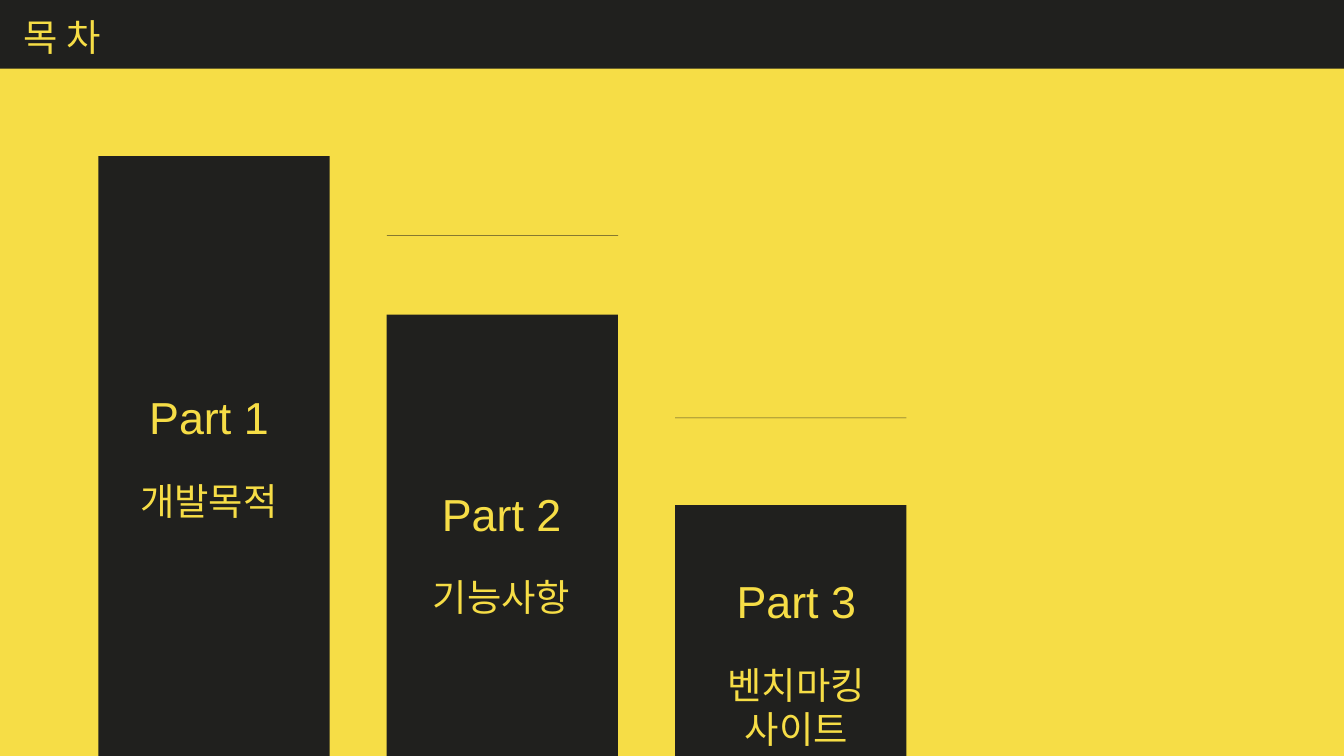
from lxml import etree
from pptx import Presentation
from pptx.dml.color import RGBColor
from pptx.enum.shapes import MSO_CONNECTOR, MSO_SHAPE
from pptx.enum.text import MSO_AUTO_SIZE, PP_ALIGN
from pptx.oxml.ns import qn
from pptx.util import Cm, Pt

RECTANGLE = MSO_SHAPE.RECTANGLE
STRAIGHT = MSO_CONNECTOR.STRAIGHT
GROW = MSO_AUTO_SIZE.SHAPE_TO_FIT_TEXT
LEFT, CENTER = PP_ALIGN.LEFT, PP_ALIGN.CENTER

COLORS = {"yellow": "F6DD46", "dark": "20201E"}
FONT = "Arial"
SLIDE_WIDTH, SLIDE_HEIGHT = 25.4, 14.29
COLUMN_LEFT, COLUMN_PITCH, COLUMN_WIDTH = 1.86, 5.45, 4.37
COLUMN_BOTTOM = 14.31
LABEL_WIDTH = 5.1

PARTS = [
    {"title": "Part 1", "topics": ["개발목적"], "top": 2.95,
     "label": (1.4, 7.24, 2.82)},
    {"title": "Part 2", "topics": ["기능사항"], "top": 5.95, "rule": 4.45,
     "label": (6.93, 9.07, 2.82)},
    {"title": "Part 3", "topics": ["벤치마킹", "사이트"], "top": 9.55, "rule": 7.9,
     "label": (12.5, 10.72, 3.68)},
]


def color(name):
    return RGBColor.from_string(COLORS[name])


def set_alpha(solid_fill, percent):
    etree.SubElement(solid_fill[0], qn("a:alpha"), val=str(percent * 1000))


def add_block(slide, left, top, width, height):
    block = slide.shapes.add_shape(RECTANGLE, Cm(left), Cm(top), Cm(width), Cm(height))
    block.shadow.inherit = False
    block.fill.solid()
    block.fill.fore_color.rgb = color("dark")
    block.line.fill.background()


def add_rule(slide, left, top, width):
    rule = slide.shapes.add_connector(
        STRAIGHT, Cm(left), Cm(top), Cm(left + width), Cm(top))
    rule.line.width = Pt(0.25)
    rule.line.color.rgb = color("dark")
    properties = rule.element.spPr
    set_alpha(properties.find(f"{qn('a:ln')}/{qn('a:solidFill')}"), 80)
    etree.SubElement(properties, qn("a:effectLst"))


def add_text_frame(slide, left, top, width, height):
    frame = slide.shapes.add_textbox(Cm(left), Cm(top), Cm(width), Cm(height)).text_frame
    frame.word_wrap = True
    frame.auto_size = GROW
    return frame


def write(paragraph, text, size=20, align=CENTER, space_before=0):
    paragraph.alignment = align
    paragraph.space_before = Pt(space_before)
    run = paragraph.add_run()
    run.text = text
    run.font.size = Pt(size)
    run.font.name = FONT
    run.font.color.rgb = color("yellow")
    outline = etree.Element(qn("a:ln"), w=str(Pt(0.75)))
    fill = etree.SubElement(outline, qn("a:solidFill"))
    etree.SubElement(fill, qn("a:srgbClr"), val=COLORS["yellow"])
    set_alpha(fill, 20)
    run.font._element.insert(0, outline)


def add_label(slide, part):
    left, top, height = part["label"]
    frame = add_text_frame(slide, left, top, LABEL_WIDTH, height)
    write(frame.paragraphs[0], part["title"], size=24)
    for index, topic in enumerate(part["topics"]):
        write(frame.add_paragraph(), topic, space_before=0 if index else 18.4)


def add_header(slide, title):
    add_block(slide, 0, 0, SLIDE_WIDTH, 1.3)
    frame = add_text_frame(slide, 0.2, 0.15, 9.73, 1.11)
    write(frame.paragraphs[0], title, align=LEFT)


def main():
    deck = Presentation()
    deck.slide_width, deck.slide_height = Cm(SLIDE_WIDTH), Cm(SLIDE_HEIGHT)
    slide = deck.slides.add_slide(deck.slide_layouts[6])
    slide.background.fill.solid()
    slide.background.fill.fore_color.rgb = color("yellow")

    for index, part in enumerate(PARTS):
        left = COLUMN_LEFT + index * COLUMN_PITCH
        add_block(slide, left, part["top"], COLUMN_WIDTH, COLUMN_BOTTOM - part["top"])
        if "rule" in part:
            add_rule(slide, left, part["rule"], COLUMN_WIDTH)
        add_label(slide, part)
    add_header(slide, "목 차")
    deck.save("out.pptx")


if __name__ == "__main__":
    main()
